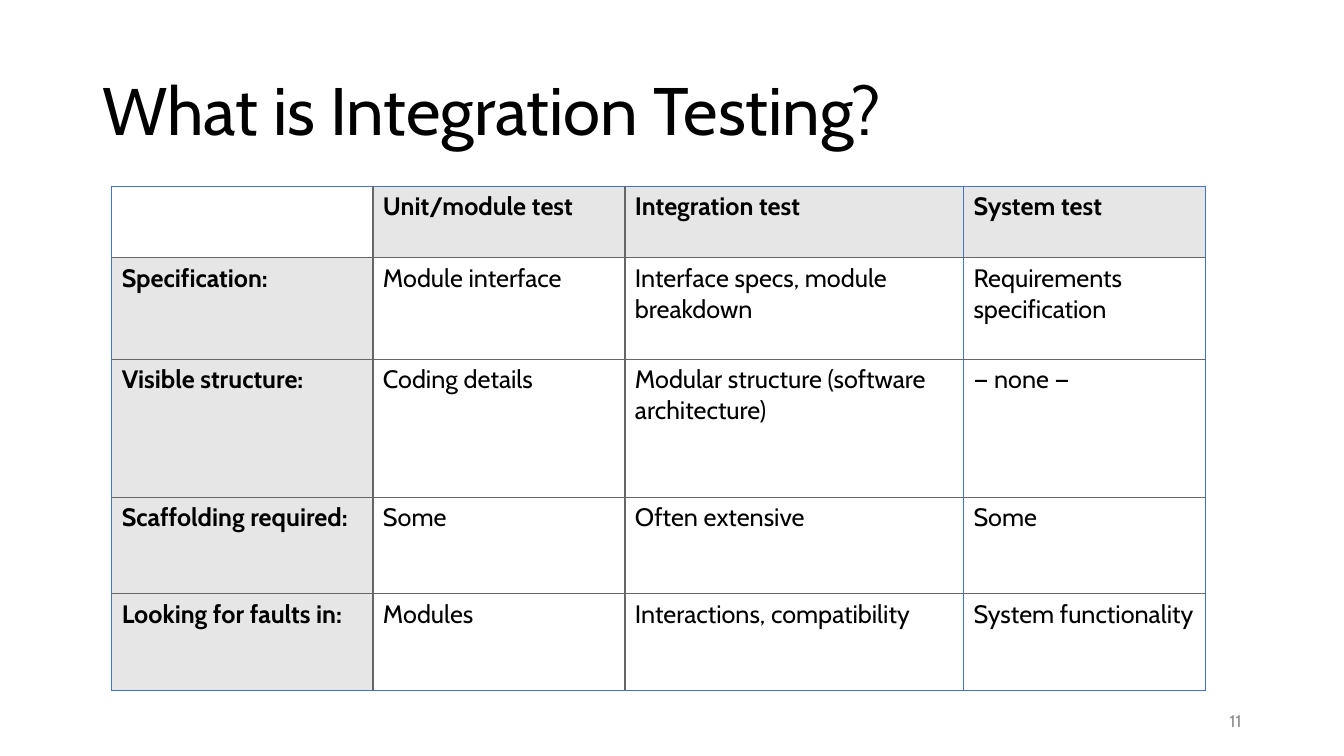
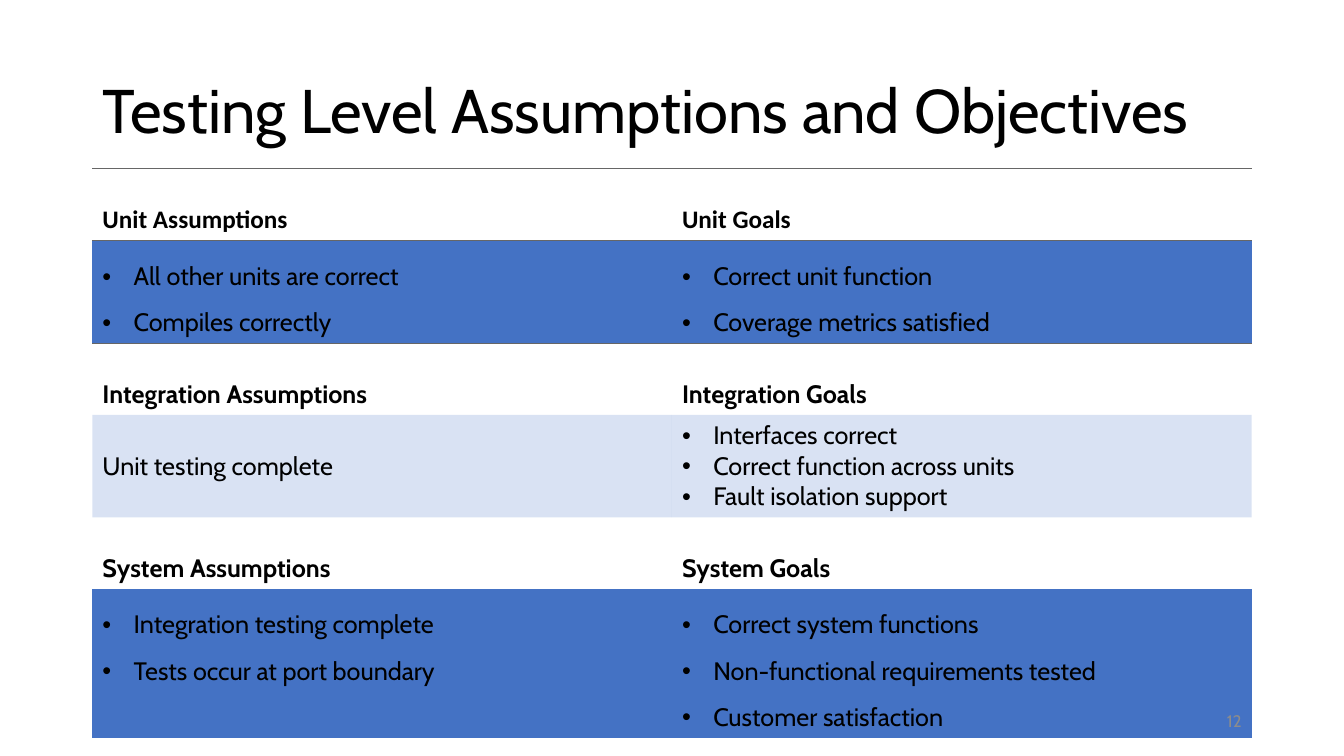
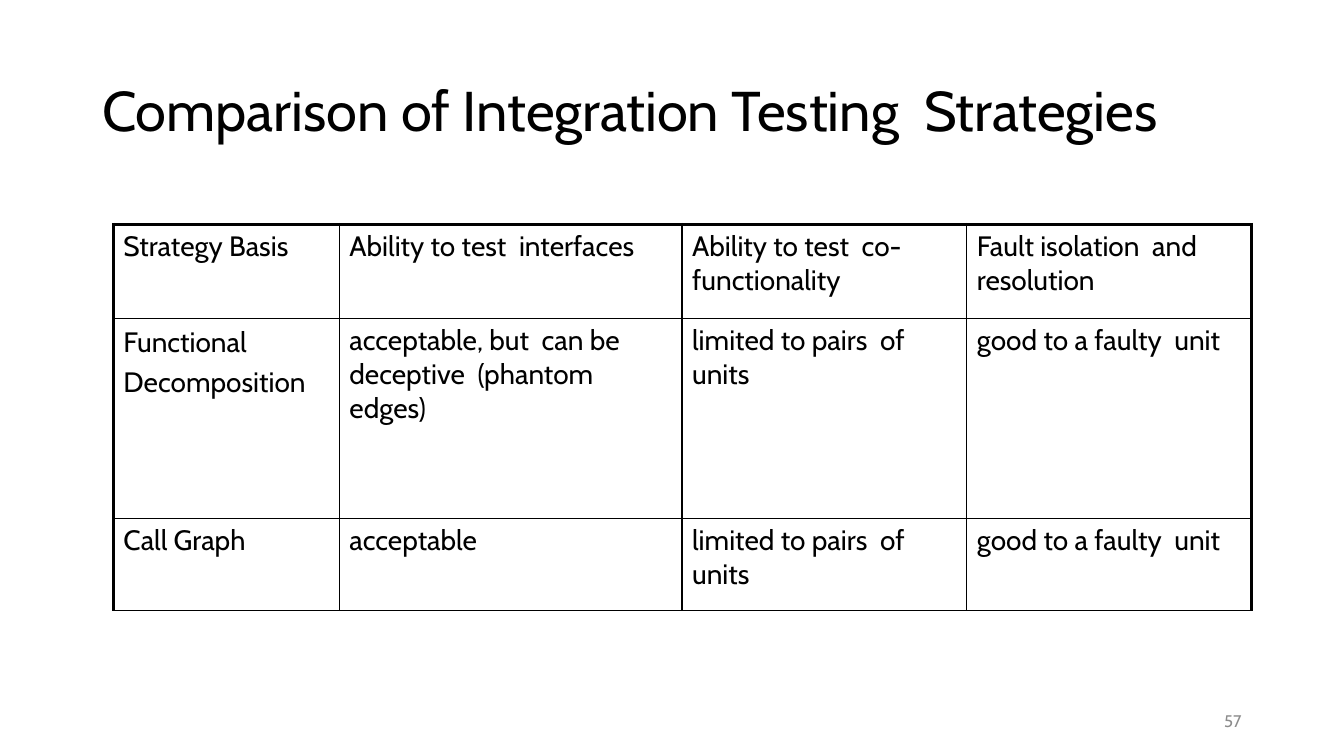
import dataclasses

import lxml.etree
import pptx
import pptx.dml.color
import pptx.enum.text
import pptx.oxml.ns
import pptx.util

# Grid: 160 columns by 90 rows of square units, twelve to the inch
COLS, ROWS = 160, 90
UNIT = pptx.util.Inches(1) // 12


@dataclasses.dataclass(frozen=True)
class Theme:
    font: str = "Cabin"
    alt_font: str = "Calibri"
    ink: str = "000000"
    muted: str = "8C8C8C"
    blue: str = "4472C4"
    rule: str = "666666"
    shade: str = "E7E6E6"
    tint: int = 20
    body: int = 18
    large: int = 20
    number: int = 12


T = Theme()
ANCHOR = pptx.enum.text.MSO_ANCHOR
ALIGN = pptx.enum.text.PP_ALIGN
PLAIN_TABLE = "{2D5ABB26-0587-4C30-8999-92F81FD0307C}"


def grid(n):
    return pptx.util.Emu(round(n * UNIT))


def rgb(color):
    return pptx.dml.color.RGBColor.from_string(color)


def sub(parent, tag, **attrs):
    return lxml.etree.SubElement(parent, pptx.oxml.ns.qn(tag), attrs)


# Text
def add_bullet(p):
    pPr = p._p.get_or_add_pPr()
    indent = pptx.util.Inches(0.31)
    pPr.set("marL", str(indent))
    pPr.set("indent", str(-indent))
    sub(pPr, "a:buFont", typeface="Arial")
    sub(pPr, "a:buChar", char="•")


def write(tf, text, size=T.body, font=T.font, color=T.ink, bold=False,
          align=ALIGN.LEFT, spacing=None):
    """Write one string, or a list of strings as bullets."""
    bulleted = isinstance(text, list)
    for i, line in enumerate(text if bulleted else [text]):
        p = tf.add_paragraph() if i else tf.paragraphs[0]
        p.alignment = align
        if bulleted:
            add_bullet(p)
        if spacing:
            p.line_spacing = spacing
        r = p.add_run()
        r.text = line
        r.font.size = pptx.util.Pt(size)
        r.font.name = font
        r.font.bold = bold
        r.font.color.rgb = rgb(color)


def add_text(slide, x, y, w, h, text, **fmt):
    sp = slide.shapes.add_textbox(grid(x), grid(y), grid(w), grid(h))
    tf = sp.text_frame
    tf.word_wrap = True
    tf.vertical_anchor = ANCHOR.MIDDLE
    write(tf, text, **fmt)


# Tables
def set_borders(cell, **lines):
    tcPr = cell._tc.get_or_add_tcPr()
    for side in "LRTB":
        if lines[side]:
            color, width = lines[side]
            ln = sub(tcPr, f"a:ln{side}", w=str(pptx.util.Pt(width)))
            sub(sub(ln, "a:solidFill"), "a:srgbClr", val=color)


def set_fill(cell, color=None, opacity=100):
    if color is None:
        cell.fill.background()
        return
    cell.fill.solid()
    cell.fill.fore_color.rgb = rgb(color)
    if opacity < 100:
        clr = cell._tc.tcPr.find(".//" + pptx.oxml.ns.qn("a:srgbClr"))
        sub(clr, "a:alpha", val=str(opacity * 1000))


def add_table(slide, x, y, widths, heights, content, across, down, look):
    """across and down list the rules; look(row, col) gives fill and format."""
    frame = slide.shapes.add_table(len(heights), len(widths), grid(x), grid(y),
                                   grid(sum(widths)), grid(sum(heights)))
    table = frame.table
    table.first_row = table.horz_banding = False
    table._tbl.tblPr.find(pptx.oxml.ns.qn("a:tableStyleId")).text = PLAIN_TABLE
    for column, width in zip(table.columns, widths):
        column.width = grid(width)
    for row, height in zip(table.rows, heights):
        row.height = grid(height)
    for i, line in enumerate(content):
        for j, text in enumerate(line):
            cell = table.cell(i, j)
            fill, fmt = look(i, j)
            set_borders(cell, L=down[j], R=down[j + 1],
                        T=across[i], B=across[i + 1])
            set_fill(cell, **fill)
            if text:
                write(cell.text_frame, text, **fmt)
    return table


# Shared slide frame
def add_slide(prs, title, title_size, number):
    slide = prs.slides.add_slide(prs.slide_layouts[6])
    add_text(slide, 11, 4.8, 138, 17.4, title, size=title_size, spacing=0.9)
    return slide, lambda: add_text(slide, 113, 83.4, 36, 4.8, number,
                                   size=T.number, color=T.muted,
                                   align=ALIGN.RIGHT)


# Slides
def integration_slide(prs):
    slide, add_number = add_slide(prs, "What is Integration Testing?", 48, "11")
    content = [
        ["", "Unit/module test", "Integration test", "System test"],
        ["Specification:", "Module interface",
         "Interface specs, module breakdown", "Requirements specification"],
        ["Visible structure:", "Coding details",
         "Modular structure (software architecture)", "— none —"],
        ["Scaffolding required:", "Some", "Often extensive", "Some"],
        ["Looking for faults in:", "Modules", "Interactions, compatibility",
         "System functionality"],
    ]

    def look(i, j):
        heading = i == 0 or j == 0
        shaded = heading and i + j > 0
        return {"color": T.shade if shaded else None}, {"bold": heading}

    blue, grey = (T.blue, 1), (T.rule, 1)
    add_table(slide, 13.3, 22.2, [31.1, 30, 40.3, 28.8],
              [8.5, 12.1, 16.4, 11.5, 11.5], content,
              [blue] + [grey] * 4 + [blue], [blue, grey, grey, blue, blue], look)
    add_number()


def objectives_slide(prs):
    slide, add_number = add_slide(
        prs, "Testing Level Assumptions and Objectives", 44, "12")
    content = [
        ["Unit Assumptions", "Unit Goals"],
        [["All other units are correct", "Compiles correctly"],
         ["Correct unit function", "Coverage metrics satisfied"]],
        ["Integration Assumptions", "Integration Goals"],
        ["Unit testing complete",
         ["Interfaces correct", "Correct function across units",
          "Fault isolation support"]],
        ["System Assumptions", "System Goals"],
        [["Integration testing complete", "Tests occur at port boundary"],
         ["Correct system functions", "Non-functional requirements tested",
          "Customer satisfaction"]],
    ]

    def look(i, j):
        if i % 2 == 0:
            font = T.font if i else T.alt_font
            return {}, {"bold": True, "spacing": 2.0, "font": font}
        spacing = 1.5
        if i == 3:
            spacing = None if j else 2.0
        return {"color": T.blue, "opacity": T.tint}, {"spacing": spacing}

    grey = (T.rule, 1)
    add_table(slide, 11, 20.1, [69, 69],
              [8.55, 12.2, 8.55, 12.2, 8.55, 17.7], content,
              [grey, grey] + [None] * 4 + [(T.blue, 1)], [None] * 3, look)
    add_number()


def strategies_slide(prs):
    slide, add_number = add_slide(
        prs, "Comparison of Integration Testing  Strategies", 40, "57")
    content = [
        ["Strategy Basis", "Ability to test  interfaces",
         "Ability to test  co-functionality", "Fault isolation  and resolution"],
        ["Functional Decomposition",
         "acceptable, but  can be deceptive  (phantom edges)",
         "limited to pairs  of units", "good to a faulty  unit"],
        ["Call Graph", "acceptable", "limited to pairs  of units",
         "good to a faulty  unit"],
    ]

    def look(i, j):
        spacing = pptx.util.Pt(28.8) if (i, j) == (1, 0) else None
        return {}, {"size": T.large, "spacing": spacing}

    thin, thick = (T.ink, 1), (T.ink, 2.25)
    table = add_table(slide, 13.5, 26.7, [26.9, 40.8, 33.9, 33.9],
                      [11.2, 23.8, 11], content,
                      [thick] + [thin] * 3, [thick] + [thin] * 3 + [thick], look)
    table.cell(1, 0).margin_top = pptx.util.Inches(0.01)
    add_number()


def main():
    prs = pptx.Presentation()
    prs.slide_width, prs.slide_height = grid(COLS), grid(ROWS)
    integration_slide(prs)
    objectives_slide(prs)
    strategies_slide(prs)
    prs.save("out.pptx")


if __name__ == "__main__":
    main()
